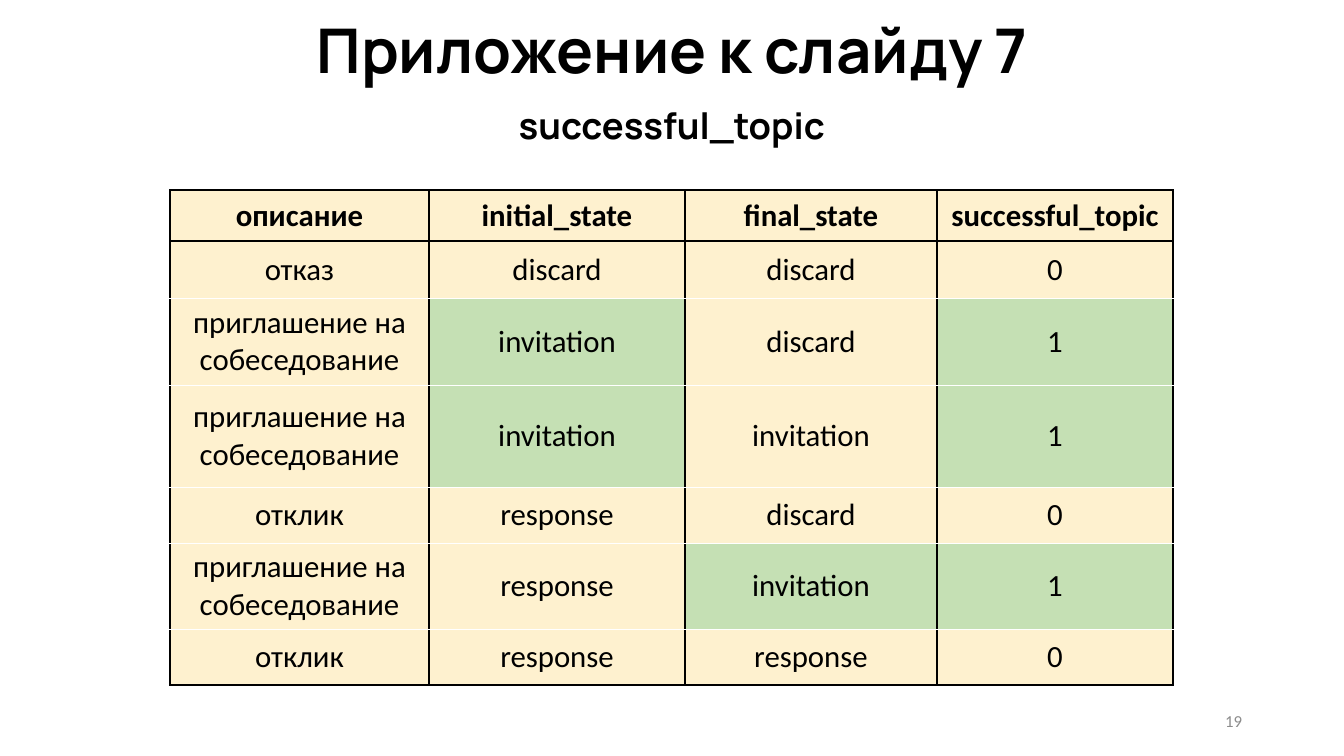
from lxml import etree
from pptx import Presentation
from pptx.dml.color import RGBColor
from pptx.enum.text import MSO_ANCHOR, MSO_AUTO_SIZE, PP_ALIGN
from pptx.oxml.ns import qn
from pptx.util import Pt

CENTER, RIGHT = PP_ALIGN.CENTER, PP_ALIGN.RIGHT
TOP, MIDDLE = MSO_ANCHOR.TOP, MSO_ANCHOR.MIDDLE
NO_AUTOFIT = MSO_AUTO_SIZE.NONE

TITLE = "Приложение к слайду 7"
SUBTITLE = "successful_topic"
SLIDE_NUMBER = "19"
ROWS = [
    ("описание", "initial_state", "final_state", "successful_topic"),
    ("отказ", "discard", "discard", "0"),
    ("приглашение на собеседование", "invitation", "discard", "1"),
    ("приглашение на собеседование", "invitation", "invitation", "1"),
    ("отклик", "response", "discard", "0"),
    ("приглашение на собеседование", "response", "invitation", "1"),
    ("отклик", "response", "response", "0"),
]

EMU_PER_PX = 914400 / 100.8
SLIDE_SIZE = (1344, 756)
TITLE_BOX = (93, 11, 1159, 86)
SUBTITLE_BOX = (414, 98, 516, 54)
NUMBER_BOX = (950, 701, 302, 40)
TABLE_ORIGIN = (170, 190)
COLUMN_WIDTHS = (259, 256, 252, 236)
ROW_HEIGHTS = (51, 57, 87, 102, 56, 86, 56)

BLACK, WHITE, GRAY = "000000", "FFFFFF", "8C8C8C"
CREAM, GREEN = "FEF1CF", "C5E0B4"
OUTER_LINE, INNER_LINE = (BLACK, 1), (WHITE, 0.75)

TITLE_FONT = dict(name="Manrope", size=Pt(44), bold=True)
SUBTITLE_FONT = dict(name="Manrope", size=Pt(26), bold=True)
NUMBER_FONT = dict(name="Calibri", size=Pt(12), bold=False)
HEADER_FONT = dict(name="Calibri", size=Pt(22), bold=True)
BODY_FONT = dict(HEADER_FONT, bold=False)


def px(length):
    return round(length * EMU_PER_PX)


def rgb(color):
    return RGBColor.from_string(color)


def write(text_frame, text, font, color=BLACK, align=CENTER):
    paragraph = text_frame.paragraphs[0]
    paragraph.alignment = align
    run = paragraph.add_run()
    run.text = text
    for attribute, value in font.items():
        setattr(run.font, attribute, value)
    run.font.color.rgb = rgb(color)


def add_text(slide, box, text, font, anchor, color=BLACK, align=CENTER):
    text_frame = slide.shapes.add_textbox(*map(px, box)).text_frame
    text_frame.word_wrap = True
    text_frame.vertical_anchor = anchor
    write(text_frame, text, font, color, align)


def set_borders(cell, top, bottom):
    """Draw the four edges; the sides always carry the outer line."""
    edges = {"a:lnL": OUTER_LINE, "a:lnR": OUTER_LINE, "a:lnT": top, "a:lnB": bottom}
    properties = cell._tc.get_or_add_tcPr()
    for position, (tag, (color, width)) in enumerate(edges.items()):
        line = etree.Element(qn(tag), w=str(Pt(width)))
        fill = etree.SubElement(line, qn("a:solidFill"))
        etree.SubElement(fill, qn("a:srgbClr"), val=color)
        properties.insert(position, line)


def is_highlighted(row, column):
    """Mark a success and the first state that led to it."""
    return row[column] == "1" or (
        row[column] == "invitation" and "invitation" not in row[:column])


def add_topic_table(slide):
    frame = slide.shapes.add_table(
        len(ROWS), len(COLUMN_WIDTHS), *map(px, TABLE_ORIGIN),
        px(sum(COLUMN_WIDTHS)), px(sum(ROW_HEIGHTS)))
    table = frame.table
    table.horz_banding = False
    for column, width in zip(table.columns, COLUMN_WIDTHS):
        column.width = px(width)
    for row, height in zip(table.rows, ROW_HEIGHTS):
        row.height = px(height)

    last = len(ROWS) - 1
    for r, row in enumerate(ROWS):
        top = OUTER_LINE if r <= 1 else INNER_LINE
        bottom = OUTER_LINE if r in (0, last) else INNER_LINE
        for c, text in enumerate(row):
            cell = table.cell(r, c)
            cell.vertical_anchor = MIDDLE
            cell.fill.solid()
            cell.fill.fore_color.rgb = rgb(GREEN if is_highlighted(row, c) else CREAM)
            set_borders(cell, top, bottom)
            write(cell.text_frame, text, BODY_FONT if r else HEADER_FONT)


def main():
    presentation = Presentation()
    presentation.slide_width, presentation.slide_height = map(px, SLIDE_SIZE)
    title_only = presentation.slide_layouts[5]
    slide = presentation.slides.add_slide(title_only)

    title = slide.shapes.title
    title.left, title.top, title.width, title.height = map(px, TITLE_BOX)
    title.text_frame.auto_size = NO_AUTOFIT
    title.text_frame.vertical_anchor = MIDDLE
    write(title.text_frame, TITLE, TITLE_FONT)
    title.text_frame.paragraphs[0].line_spacing = 0.9

    add_text(slide, SUBTITLE_BOX, SUBTITLE, SUBTITLE_FONT, TOP)
    add_topic_table(slide)
    add_text(slide, NUMBER_BOX, SLIDE_NUMBER, NUMBER_FONT, MIDDLE, GRAY, RIGHT)
    presentation.save("out.pptx")


if __name__ == "__main__":
    main()
